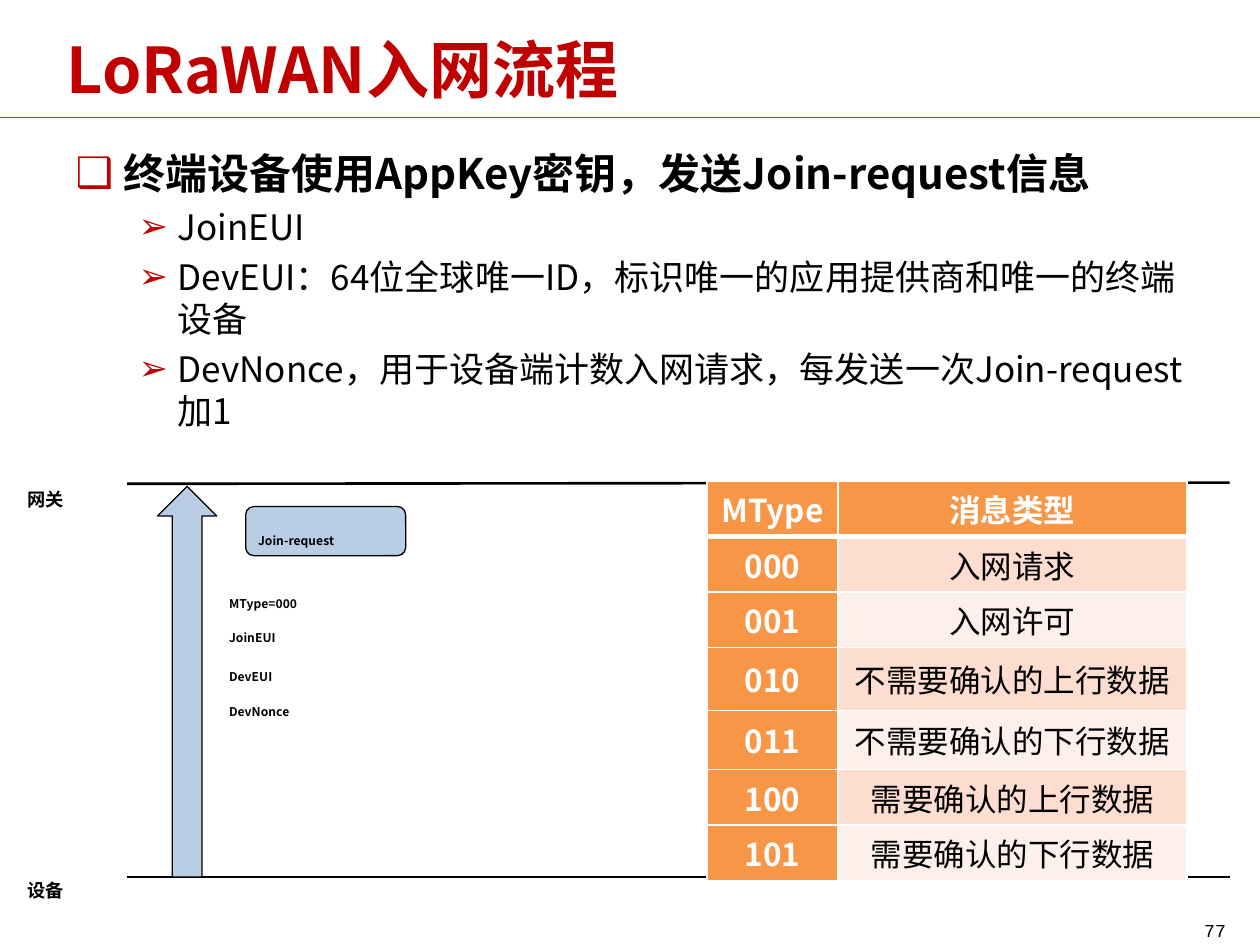
from dataclasses import dataclass

from lxml.etree import SubElement
from pptx import Presentation
from pptx.dml.color import RGBColor
from pptx.enum.shapes import MSO_CONNECTOR, MSO_SHAPE
from pptx.enum.text import MSO_ANCHOR, MSO_AUTO_SIZE, PP_ALIGN
from pptx.oxml import parse_xml
from pptx.oxml.ns import nsdecls, qn
from pptx.util import Inches, Pt


@dataclass(frozen=True)
class Theme:
    """Fonts, colours and type sizes of the slide."""
    font: str = "Noto Sans CJK SC"
    mono: str = "Courier New"
    red: str = "C00000"
    rule: str = "CC3300"
    black: str = "000000"
    white: str = "FFFFFF"
    blue: str = "B9CDE5"
    orange: str = "F79646"
    bands: tuple = ("FCDDCF", "FDEFE9")
    title: int = 36
    head: int = 24
    item: int = 20
    label: int = 18
    field: int = 12


T = Theme()

BULLETS = [
    (0, "终端设备使用AppKey密钥，发送Join-request信息"),
    (1, "JoinEUI"),
    (1, "DevEUI：64位全球唯一ID，标识唯一的应用提供商和唯一的终端设备"),
    (1, "DevNonce，用于设备端计数入网请求，每发送一次Join-request加1"),
]
LABELS = [
    ("网关", 0.12, 3.66, 0.73, 0.4, T.label),
    ("设备", 0.12, 6.76, 0.73, 0.4, T.label),
    ("Join-request", 1.95, 4.07, 1.27, 0.3, T.field),
    ("MType=000", 1.72, 4.57, 1.27, 0.3, T.field),
    ("JoinEUI", 1.72, 4.84, 1.27, 0.3, T.field),
    ("DevEUI", 1.72, 5.15, 1.27, 0.3, T.field),
    ("DevNonce", 1.72, 5.43, 1.27, 0.3, T.field),
]
MESSAGE_TYPES = [
    ("MType", "消息类型"),
    ("000", "入网请求"),
    ("001", "入网许可"),
    ("010", "不需要确认的上行数据"),
    ("011", "不需要确认的下行数据"),
    ("100", "需要确认的上行数据"),
    ("101", "需要确认的下行数据"),
]
COLUMN_WIDTHS = (1.04, 2.77)
ROW_HEIGHTS = (0.44, 0.44, 0.44, 0.5, 0.47, 0.44, 0.44)


def rgb(color):
    """Return a colour object for a hex string."""
    return RGBColor.from_string(color)


def place(sp, left, top, width, height):
    """Move and size a shape, in inches."""
    sp.left, sp.top = Inches(left), Inches(top)
    sp.width, sp.height = Inches(width), Inches(height)


def write(p, text, size, color=T.black, bold=False, font=T.font,
          align=PP_ALIGN.LEFT, baseline=0):
    """Add a formatted run to a paragraph."""
    p.alignment = align
    r = p.add_run()
    r.text = text
    r.font.size, r.font.bold, r.font.name = Pt(size), bold, font
    r.font.color.rgb = rgb(color)
    rPr = r._r.get_or_add_rPr()
    SubElement(rPr, qn("a:ea")).set("typeface", font)
    if baseline:
        rPr.set("baseline", str(baseline * 1000))


def add_bullet(p, char, margin, indent):
    """Give a paragraph a coloured bullet and a hanging indent."""
    pPr = p._p.get_or_add_pPr()
    pPr.set("marL", str(Inches(margin)))
    pPr.set("indent", str(-Inches(indent)))
    color = SubElement(pPr, qn("a:buClr"))
    SubElement(color, qn("a:srgbClr")).set("val", T.red)
    SubElement(pPr, qn("a:buChar")).set("char", char)


def add_title(slide, text):
    """Fill the title placeholder."""
    sp = slide.shapes.title
    place(sp, 0.43, 0.04, 9.01, 1)
    tf = sp.text_frame
    tf.auto_size = MSO_AUTO_SIZE.NONE
    tf.vertical_anchor = MSO_ANCHOR.MIDDLE
    write(tf.paragraphs[0], text, T.title, T.red, bold=True)


def add_body(slide, bullets):
    """Fill the body placeholder with a two-level list."""
    sp = slide.placeholders[1]
    place(sp, 0.5, 1.08, 9.08, 5.92)
    tf = sp.text_frame
    tf.auto_size = MSO_AUTO_SIZE.NONE
    tf.margin_top = Inches(0.09)
    for i, (level, text) in enumerate(bullets):
        p = tf.add_paragraph() if i else tf.paragraphs[0]
        p.level = level
        p.line_spacing = 1.0
        p.space_before = Pt(4.5 if i else 0)
        if level:
            add_bullet(p, "➢", 0.81, 0.31)
            write(p, text, T.item)
        else:
            add_bullet(p, "❑", 0.38, 0.38)
            write(p, text, T.head, bold=True)


def add_text(slide, text, left, top, width, height, size,
             anchor=MSO_ANCHOR.TOP, **fmt):
    """Add a text box with one lowered line."""
    sp = slide.shapes.add_textbox(0, 0, 0, 0)
    place(sp, left, top, width, height)
    tf = sp.text_frame
    tf.word_wrap = True
    tf.vertical_anchor = anchor
    write(tf.paragraphs[0], text, size, baseline=-25, **fmt)


def add_line(slide, x1, y1, x2, y2, color, width):
    """Add a straight line without shadow."""
    s = slide.shapes.add_connector(MSO_CONNECTOR.STRAIGHT, Inches(x1), Inches(y1),
                                   Inches(x2), Inches(y2))
    s.line.color.rgb = rgb(color)
    s.line.width = Pt(width)
    SubElement(s._element.spPr, qn("a:effectLst"))


def add_block(slide, kind, left, top, width, height, rotation=0):
    """Add an outlined blue shape."""
    s = slide.shapes.add_shape(kind, 0, 0, 0, 0)
    place(s, left, top, width, height)
    s.rotation = rotation
    s.shadow.inherit = False
    s.fill.solid()
    s.fill.fore_color.rgb = rgb(T.blue)
    s.line.color.rgb = rgb(T.black)
    s.line.width = Pt(0.75)


def set_borders(cell, top, bottom):
    """Draw white borders on the four sides of a cell."""
    widths = {"lnL": 1, "lnR": 1, "lnT": top, "lnB": bottom}
    tcPr = cell._tc.get_or_add_tcPr()
    for i, (tag, width) in enumerate(widths.items()):
        tcPr.insert(i, parse_xml(
            f'<a:{tag} {nsdecls("a")} w="{Pt(width)}"><a:solidFill>'
            f'<a:srgbClr val="{T.white}"/></a:solidFill></a:{tag}>'))


def add_message_table(slide, rows):
    """Add the table of message types."""
    frame = slide.shapes.add_table(len(rows), len(COLUMN_WIDTHS), Inches(5.61), Inches(3.82),
                                   Inches(sum(COLUMN_WIDTHS)), Inches(sum(ROW_HEIGHTS)))
    table = frame.table
    for column, width in zip(table.columns, COLUMN_WIDTHS):
        column.width = Inches(width)
    for i, (row, height) in enumerate(zip(rows, ROW_HEIGHTS)):
        table.rows[i].height = Inches(height)
        for j, text in enumerate(row):
            cell = table.cell(i, j)
            strong = i == 0 or j == 0
            cell.fill.solid()
            cell.fill.fore_color.rgb = rgb(T.orange if strong else T.bands[(i - 1) % 2])
            set_borders(cell, 3 if i == 1 else 1, 3 if i == 0 else 1)
            cell.margin_left = cell.margin_right = Inches(0.07)
            cell.margin_top = cell.margin_bottom = 0
            cell.vertical_anchor = MSO_ANCHOR.MIDDLE
            write(cell.text_frame.paragraphs[0], text, T.label,
                  T.white if strong else T.black, bold=strong, align=PP_ALIGN.CENTER)


def main():
    """Build and save the slide."""
    prs = Presentation()
    prs.slide_width, prs.slide_height = Inches(10), Inches(7.5)
    slide = prs.slides.add_slide(prs.slide_layouts[1])
    add_line(slide, 0, 0.93, 10, 0.93, T.rule, 0.25)
    add_title(slide, "LoRaWAN入网流程")
    add_body(slide, BULLETS)
    add_line(slide, 1.01, 6.96, 9.76, 6.96, T.black, 1.5)
    add_block(slide, MSO_SHAPE.DOWN_ARROW, 1.25, 3.86, 0.47, 3.1, rotation=180)
    add_block(slide, MSO_SHAPE.ROUNDED_RECTANGLE, 1.95, 4.02, 1.27, 0.39)
    for label in LABELS:
        add_text(slide, *label, bold=True)
    add_line(slide, 1.01, 3.84, 9.76, 3.83, T.black, 1.5)
    add_text(slide, "77", 9, 7.17, 0.83, 0.25, T.label, anchor=MSO_ANCHOR.MIDDLE,
             font=T.mono, align=PP_ALIGN.RIGHT)
    add_message_table(slide, MESSAGE_TYPES)
    prs.save("out.pptx")


if __name__ == "__main__":
    main()
